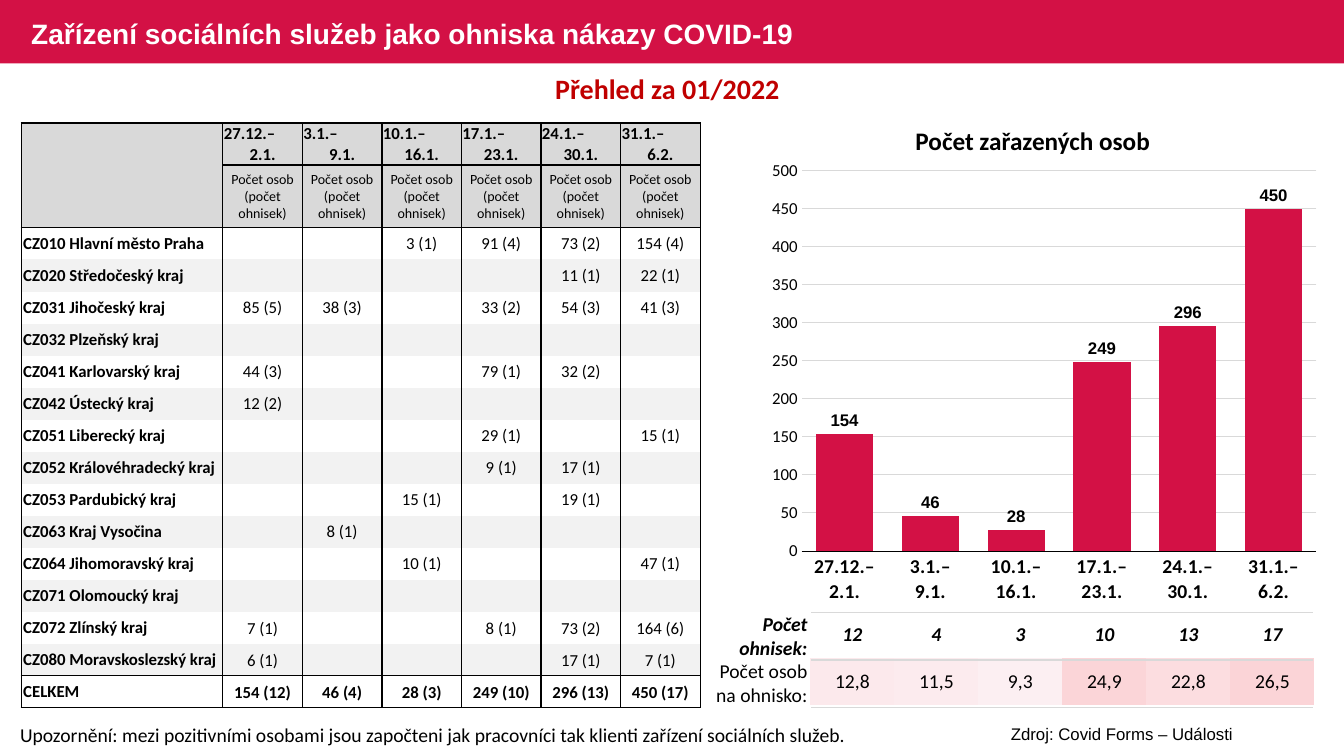
from lxml import etree
from pptx import Presentation
from pptx.chart.data import CategoryChartData
from pptx.dml.color import RGBColor
from pptx.enum.chart import XL_CHART_TYPE, XL_LABEL_POSITION, XL_TICK_MARK
from pptx.enum.shapes import MSO_SHAPE
from pptx.enum.text import MSO_ANCHOR, PP_ALIGN
from pptx.oxml import parse_xml
from pptx.oxml.ns import nsdecls, qn
from pptx.util import Inches, Pt

LEFT, MID, RIGHT = PP_ALIGN.LEFT, PP_ALIGN.CENTER, PP_ALIGN.RIGHT
TOP, MIDDLE = MSO_ANCHOR.TOP, MSO_ANCHOR.MIDDLE
BARS = XL_CHART_TYPE.COLUMN_CLUSTERED
OUTER, NO_TICK = XL_LABEL_POSITION.OUTSIDE_END, XL_TICK_MARK.NONE
RECT = MSO_SHAPE.RECTANGLE

BLACK = RGBColor(0, 0, 0)
WHITE = RGBColor(0xFF, 0xFF, 0xFF)
CRIMSON = RGBColor(0xD3, 0x11, 0x45)
RED = RGBColor(0xC0, 0, 0)
SILVER = RGBColor(0xD9, 0xD9, 0xD9)
PALE = RGBColor(0xF2, 0xF2, 0xF2)
TINTS = [RGBColor.from_string(tint) for tint in
         ("FCE9EC", "FCEBEE", "FCEFF2", "FBD5D8", "FCDDE0", "FBD4D7")]

WEEKS = ["27.12.–\n2.1.", "3.1.–\n9.1.", "10.1.–\n16.1.",
         "17.1.–\n23.1.", "24.1.–\n30.1.", "31.1.–\n6.2."]
PEOPLE = [154, 46, 28, 249, 296, 450]
REGIONS = [line.split("|") for line in (
    "CZ010 Hlavní město Praha|||3 (1)|91 (4)|73 (2)|154 (4)",
    "CZ020 Středočeský kraj|||||11 (1)|22 (1)",
    "CZ031 Jihočeský kraj|85 (5)|38 (3)||33 (2)|54 (3)|41 (3)",
    "CZ032 Plzeňský kraj||||||",
    "CZ041 Karlovarský kraj|44 (3)|||79 (1)|32 (2)|",
    "CZ042 Ústecký kraj|12 (2)|||||",
    "CZ051 Liberecký kraj||||29 (1)||15 (1)",
    "CZ052 Královéhradecký kraj||||9 (1)|17 (1)|",
    "CZ053 Pardubický kraj|||15 (1)||19 (1)|",
    "CZ063 Kraj Vysočina||8 (1)||||",
    "CZ064 Jihomoravský kraj|||10 (1)|||47 (1)",
    "CZ071 Olomoucký kraj||||||",
    "CZ072 Zlínský kraj|7 (1)|||8 (1)|73 (2)|164 (6)",
    "CZ080 Moravskoslezský kraj|6 (1)||||17 (1)|7 (1)",
    "CELKEM|154 (12)|46 (4)|28 (3)|249 (10)|296 (13)|450 (17)")]


class Deck:
    """Holds the slide and its style; lengths are percent of the slide."""

    def __init__(self):
        self.show = Presentation()
        self.show.slide_width, self.show.slide_height = Inches(13.33), Inches(7.5)
        self.slide = self.show.slides.add_slide(self.show.slide_layouts[6])
        self.base = dict(name="Calibri", size=12, color=BLACK, bold=False, italic=False)

    def wide(self, share):
        return round(self.show.slide_width * share / 100)

    def high(self, share):
        return round(self.show.slide_height * share / 100)

    def frame(self, x, y, w, h):
        return self.wide(x), self.high(y), self.wide(w), self.high(h)

    def style(self, font, **look):
        for key, value in {**self.base, **look}.items():
            if key == "color":
                font.color.rgb = value
            else:
                setattr(font, key, Pt(value) if key == "size" else value)

    def band(self, *box, color):
        shape = self.slide.shapes.add_shape(RECT, *self.frame(*box))
        shape.shadow.inherit = False
        shape.fill.solid()
        shape.fill.fore_color.rgb = color
        shape.line.fill.background()

    def words(self, para, text, align, **look):
        para.alignment = align
        run = para.add_run()
        run.text = text
        self.style(run.font, **look)

    def text(self, *box, text, align=LEFT, anchor=TOP, **look):
        frame = self.slide.shapes.add_textbox(*self.frame(*box)).text_frame
        frame.word_wrap = True
        frame.vertical_anchor = anchor
        self.words(frame.paragraphs[0], text, align, **look)

    def table(self, x, y, cols, rows):
        box = self.frame(x, y, sum(cols), sum(rows))
        table = self.slide.shapes.add_table(len(rows), len(cols), *box).table
        table.first_row = table.horz_banding = False
        for col, share in zip(table.columns, cols):
            col.width = self.wide(share)
        for row, share in zip(table.rows, rows):
            row.height = self.high(share)
        return table

    def cell(self, cell, text="", align=MID, fill=None, edges=None,
             pads=(0.01, 0.01, 0.01, 0), **look):
        """Fill one cell; edges maps L, R, T, B to (colour, points)."""
        cell.vertical_anchor = MIDDLE
        for side, pad in zip(("left", "top", "right", "bottom"), pads):
            setattr(cell, "margin_" + side, Inches(pad))
        para = cell.text_frame.paragraphs[0]
        if text:
            self.words(para, text, align, **look)
        else:
            etree.SubElement(para._p, qn("a:endParaRPr"), sz="1200")
        if fill is None:
            cell.fill.background()
        else:
            cell.fill.solid()
            cell.fill.fore_color.rgb = fill
        props = cell._tc.get_or_add_tcPr()
        for place, side in enumerate("LRTB"):
            color, points = (edges or {}).get(side, (None, 0))
            line = etree.Element(qn("a:ln" + side), w=str(int(Pt(points))))
            if color is None:
                etree.SubElement(line, qn("a:noFill"))
            else:
                paint = etree.SubElement(line, qn("a:solidFill"))
                etree.SubElement(paint, qn("a:srgbClr"), val=str(color))
            props.insert(place, line)

    def chart(self, *box, names, values, color, plot):
        data = CategoryChartData()
        data.categories = names
        data.add_series("Počet osob", values)
        chart = self.slide.shapes.add_chart(BARS, *self.frame(*box), data).chart
        chart.has_title = chart.has_legend = False
        self.style(chart.font, name="Arial", size=14, bold=True)
        bars = chart.plots[0]
        bars.gap_width, bars.vary_by_categories = 50, False
        fill = bars.series[0].format.fill
        fill.solid()
        fill.fore_color.rgb = color
        bars.has_data_labels = True
        tags = bars.data_labels
        tags.show_value, tags.position = True, OUTER
        self.style(tags.font, name="Arial", bold=True)
        cat, val = chart.category_axis, chart.value_axis
        cat.major_tick_mark = val.major_tick_mark = NO_TICK
        self.style(cat.tick_labels.font, size=14, bold=True)
        self.style(val.tick_labels.font)
        val.minimum_scale, val.maximum_scale, val.major_unit = 0, 500, 50
        val.format.line.fill.background()
        for line, shade in ((cat.format.line, BLACK),
                            (val.major_gridlines.format.line, SILVER)):
            line.color.rgb, line.width = shade, Pt(0.75)
        spots = "".join(f'<c:{key} val="{share}"/>' for key, share in zip("xywh", plot))
        area = chart._chartSpace.chart.plotArea
        for old in area.findall(qn("c:layout")):
            area.remove(old)
        area.insert(0, parse_xml(
            f'<c:layout {nsdecls("c")}><c:manualLayout><c:layoutTarget val="inner"/>'
            f'<c:xMode val="edge"/><c:yMode val="edge"/>{spots}'
            '</c:manualLayout></c:layout>'))


def regions(deck):
    heads = [[""] + WEEKS, [""] + ["Počet osob (počet ohnisek)"] * len(WEEKS)]
    table = deck.table(1.58, 16.27, [15] + [5.92] * 6, [5.47, 8.27] + [4.24] * 15)
    thick, thin = (BLACK, 1), (BLACK, 0.5)
    last = len(heads + REGIONS) - 1
    tops = {0: thick, 1: thick, 2: thin, last: thick}
    bases = {0: thick, 1: thin, last - 1: thick, last: thick}
    for r, row in enumerate(heads + REGIONS):
        for c, text in enumerate(row):
            edges = dict(L=thick, R=thick)
            if r in tops and (r, c) != (1, 0):
                edges["T"] = tops[r]
            if r in bases and (r, c) != (0, 0):
                edges["B"] = bases[r]
            look = dict(size=10 if r == 1 else 12, bold=c == 0 or r in (0, last))
            if c == 0:
                look.update(align=LEFT, pads=(0.02, 0, 0.02, 0))
            fill = SILVER if r < 2 else PALE if r % 2 and r < last else None
            deck.cell(table.cell(r, c), text, fill=fill, edges=edges, **look)


def ratios(deck):
    """Outbreak counts and people per outbreak, under the chart."""
    heights = [6.2, 6.2]
    looks = [dict(size=14, bold=True, italic=True), dict(size=14)]
    rows = [["12", "4", "3", "10", "13", "17"],
            ["12,8", "11,5", "9,3", "24,9", "22,8", "26,5"]]
    names = ["Počet ohnisek:", "Počet osob na ohnisko:"]
    counts = deck.table(60.3, 80.8, [6.25] * 6, heights)
    labels = deck.table(52.8, 81.07, [7.58] + [5.33] * 7, heights)
    rule = dict(T=(SILVER, 1), B=(SILVER, 1))
    for r, look in enumerate(looks):
        for c, text in enumerate(rows[r]):
            deck.cell(counts.cell(r, c), text, fill=TINTS[c] if r else None, **look)
        deck.cell(labels.cell(r, 0), names[r], RIGHT, pads=(0.01, 0, 0.04, 0), **look)
        for c in range(1, 8):
            deck.cell(labels.cell(r, c), edges=rule)


def main():
    deck = Deck()
    deck.band(0, 0, 100, 8.4, color=CRIMSON)
    regions(deck)
    deck.text(0.75, 94.93, 63.9, 4.53, size=14,
              text="Upozornění: mezi pozitivními osobami jsou započteni jak pracovníci "
                   "tak klienti zařízení sociálních služeb.")
    deck.chart(56.7, 20.13, 42.1, 60.67, names=WEEKS, values=PEOPLE,
               color=CRIMSON, plot=(0.07, 0.04, 0.91, 0.83))
    deck.text(56.7, 15.87, 40.28, 5.33, text="Počet zařazených osob",
              align=MID, size=18, bold=True)
    ratios(deck)
    deck.text(1.58, 0.27, 60.98, 8.4, anchor=MIDDLE, name="Arial", size=20,
              color=WHITE, bold=True,
              text="Zařízení sociálních služeb jako ohniska nákazy COVID-19")
    deck.text(1.58, 8.8, 96.15, 5.87, text="Přehled za 01/2022", align=MID,
              size=20, color=RED, bold=True)
    deck.text(67.73, 95.07, 31.5, 4, text="Zdroj: Covid Forms – Události",
              align=MID, name="Arial")
    deck.show.save("out.pptx")


if __name__ == "__main__":
    main()
